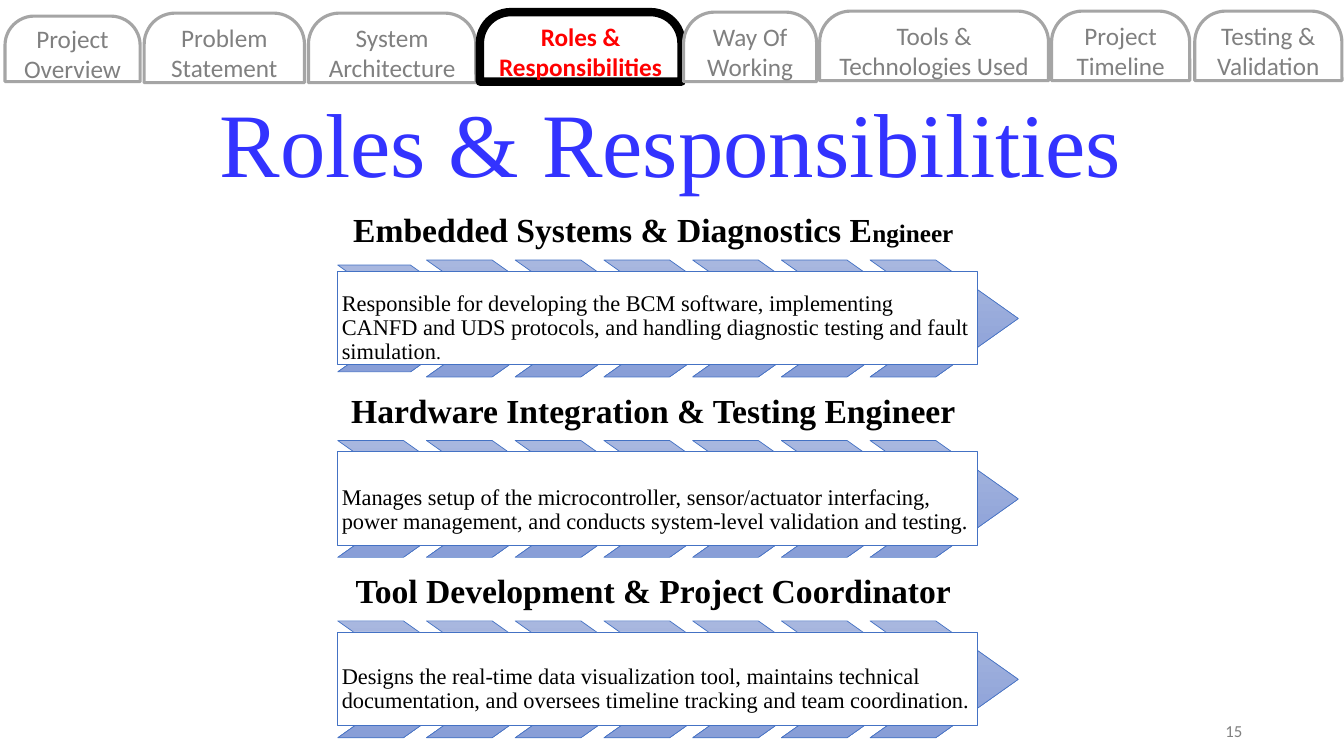
from pptx import Presentation
from pptx.dml.color import RGBColor
from pptx.enum.shapes import MSO_SHAPE as Shape
from pptx.enum.text import MSO_ANCHOR as Anchor, MSO_AUTO_SIZE as AutoSize, PP_ALIGN as Align
from pptx.util import Inches, Pt

COLORS = {
    "title": "3333FF", "text": "000000", "muted": "808080", "active": "FF0000",
    "tab_line": "A5A5A5", "active_line": "000000", "white": "FFFFFF",
    "blue_line": "4472C4", "chevron_top": "A8B7DF", "chevron_bottom": "889ED7",
}
SERIF, SANS = "Times New Roman", "Calibri"

# label, left, top, width, height
TABS = [
    ("Project Overview", 0.05, 0.16, 1.34, 0.65),
    ("Problem Statement", 1.43, 0.13, 1.59, 0.69),
    ("System Architecture", 3.06, 0.13, 1.66, 0.69),
    ("Roles & Responsibilities", 4.76, 0.12, 2, 0.69),
    ("Way Of Working", 6.78, 0.12, 1.32, 0.69),
    ("Tools & Technologies Used", 8.13, 0.11, 2.27, 0.69),
    ("Project Timeline", 10.43, 0.11, 1.37, 0.69),
    ("Testing & Validation", 11.85, 0.11, 1.46, 0.69),
]
ACTIVE_TAB = "Roles & Responsibilities"

# heading runs, duty runs (text, size), space above the duty text
ROLES = [
    ([("Embedded Systems & Diagnostics E", 24), ("ngineer", 18)],
     [("Responsible for developing the BCM software, implementing CANFD and UDS "
       "protocols, and handling diagnostic testing and fault simulation", 16), (".", 14)], 0.2),
    ([("Hardware Integration & Testing Engineer", 24)],
     [("Manages setup of the microcontroller, sensor/actuator interfacing, power "
       "management, and conducts system-level validation and testing.", 16)], 0.24),
    ([("Tool Development & Project Coordinator", 24)],
     [("Designs the real-time data visualization tool, maintains technical documentation, "
       "and oversees timeline tracking and team coordination.", 16)], 0.2),
]
ROLES_LEFT, ROLES_TOP, ROLE_PITCH = 3.35, 2.01, 1.79
CHEVRON_COUNT, CHEVRON_STEP = 7, 0.88


def rgb(name):
    return RGBColor.from_string(COLORS[name])


def write_text(shape, runs, font=SERIF, color="text", bold=False, align=Align.LEFT,
               anchor=Anchor.MIDDLE, insets=(0.1, 0.05, 0.1, 0.05), spacing=None):
    """Fill one paragraph with (text, size) runs; insets go left, top, right, bottom."""
    frame = shape.text_frame
    frame.word_wrap = True
    frame.auto_size = AutoSize.NONE
    frame.vertical_anchor = anchor
    (frame.margin_left, frame.margin_top,
     frame.margin_right, frame.margin_bottom) = map(Inches, insets)
    paragraph = frame.paragraphs[0]
    paragraph.alignment = align
    if spacing:
        paragraph.line_spacing = spacing
    for text, size in runs:
        run = paragraph.add_run()
        run.text = text
        run.font.name, run.font.size, run.font.bold = font, Pt(size), bold
        run.font.color.rgb = rgb(color)


class RolesSlide:
    def __init__(self, deck):
        self.slide = deck.slides.add_slide(deck.slide_layouts[5])
        self.shapes = self.slide.shapes

    def title(self, text, *box):
        title = self.shapes.title
        title.left, title.top, title.width, title.height = map(Inches, box)
        write_text(title, [(text, 64.8)], color="title", align=Align.CENTER,
                   anchor=Anchor.BOTTOM, spacing=0.9)

    def label(self, runs, *box, **text_format):
        write_text(self.shapes.add_textbox(*map(Inches, box)), runs, **text_format)

    def outlined(self, kind, *box, line="blue_line", weight=0.5):
        """Add a white preset shape with a coloured outline."""
        shape = self.shapes.add_shape(kind, *map(Inches, box))
        shape.shadow.inherit = False
        shape.fill.solid()
        shape.fill.fore_color.rgb = rgb("white")
        shape.line.color.rgb = rgb(line)
        shape.line.width = Pt(weight)
        return shape

    def tab(self, text, *box):
        active = text == ACTIVE_TAB
        tab = self.outlined(Shape.ROUND_2_SAME_RECTANGLE, *box,
                            line="active_line" if active else "tab_line",
                            weight=6 if active else 2.25)
        tab.adjustments[0] = 0.445
        write_text(tab, [(text, 18)], font=SANS, color="active" if active else "muted",
                   bold=active, align=Align.CENTER)

    def chevron(self, *box):
        chevron = self.outlined(Shape.CHEVRON, *box)
        chevron.adjustments[0] = 0.706
        chevron.fill.gradient()
        chevron.fill.gradient_angle = 270
        for stop, name in zip(chevron.fill.gradient_stops, ("chevron_top", "chevron_bottom")):
            stop.color.rgb = rgb(name)

    def role(self, index, heading, duty, space_above):
        top = ROLES_TOP + index * ROLE_PITCH
        self.label(heading, ROLES_LEFT, top, 6.26, 0.57, bold=True, align=Align.CENTER,
                   anchor=Anchor.BOTTOM, insets=(0.1,) * 4, spacing=0.9)
        for step in range(CHEVRON_COUNT):
            trim = 0.05 if index == step == 0 else 0
            self.chevron(ROLES_LEFT + step * CHEVRON_STEP, top + 0.57 + trim,
                         1.47, 1.16 - 2 * trim)
        panel = self.outlined(Shape.RECTANGLE, ROLES_LEFT, top + 0.68, 6.34, 0.93)
        write_text(panel, duty, insets=(0.04, space_above, 0.04, 0), spacing=0.9)


def main():
    deck = Presentation()
    deck.slide_width, deck.slide_height = Inches(13.33), Inches(7.5)
    slide = RolesSlide(deck)
    slide.title("Roles & Responsibilities", 0.08, 1.09, 13.15, 0.92)
    slide.label([("15", 12)], 9.42, 7.05, 3, 0.4, font=SANS, color="muted", align=Align.RIGHT)
    for tab in TABS:
        slide.tab(*tab)
    for index, role in enumerate(ROLES):
        slide.role(index, *role)
    deck.save("out.pptx")


if __name__ == "__main__":
    main()
